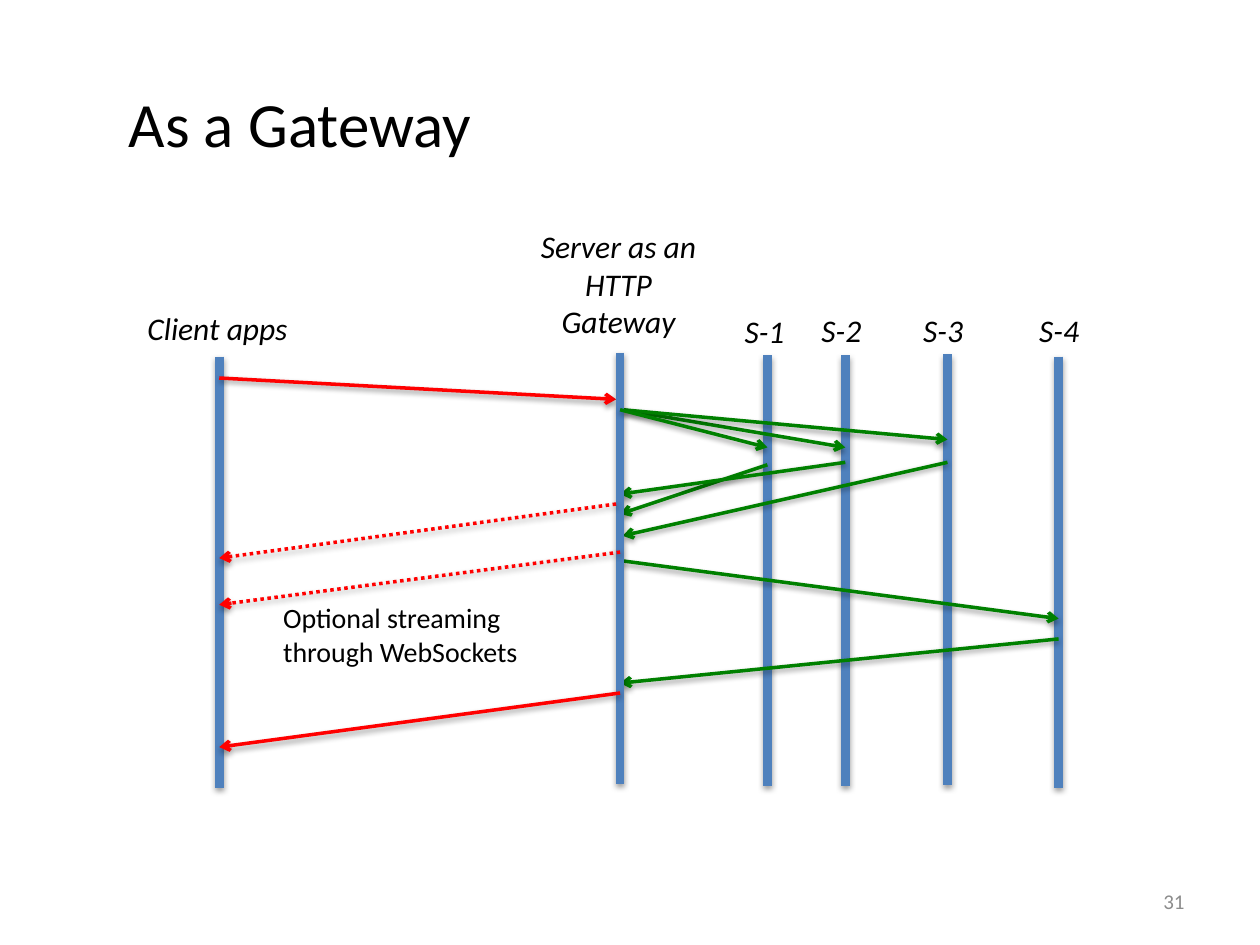
from lxml import etree
from pptx import Presentation
from pptx import util as u
from pptx.dml.color import RGBColor
from pptx.enum import dml, shapes, text
from pptx.oxml import parse_xml
from pptx.oxml.ns import nsdecls, qn

BLUE, RED, GREEN, BLACK, GREY = "4F81BD", "FF0000", "008000", "000000", "8C8C8C"
CLIENT, GATE, S1, S2, S3, S4 = 4.42, 12.5, 15.47, 17.04, 19.1, 21.34
GATE_LEFT, GATE_RIGHT = 12.42, 12.55
LIFELINE_HEIGHT = 8.69
SERVICE_LIFELINES = [(CLIENT, 7.19), (S1, 7.16), (S2, 7.16), (S3, 7.14), (S4, 7.19)]
MESSAGES_BEHIND = [
    (CLIENT, 7.62, GATE_LEFT, 8.05, RED),
    (GATE_RIGHT, 8.26, S2, 9.02, GREEN),
    (S1, 9.37, GATE, 10.36, GREEN),
    (GATE_RIGHT, 8.26, S3, 8.86, GREEN),
    (S3, 9.32, GATE_RIGHT, 10.8, GREEN),
    (S4, 12.88, GATE, 13.77, GREEN),
    (S2, 9.32, GATE, 9.96, GREEN),
    (GATE, 11.3, S4, 12.47, GREEN),
]
MESSAGES_FRONT = [
    (GATE, 8.26, S1, 9.02, GREEN),
    (GATE, 13.97, CLIENT, 15.06, RED),
]
STREAMS = [(GATE_LEFT, 10.16, CLIENT, 11.25, RED), (GATE, 11.13, CLIENT, 12.19, RED)]
SERVICE_LABELS = [("S-1", 14.76, 6.17), ("S-2", 16.31, 6.15),
                  ("S-3", 18.36, 6.15), ("S-4", 20.7, 6.15)]


def rgb(value):
    """Return a colour from a hex string."""
    return RGBColor.from_string(value)


def write(tf, lines, size=18, color=BLACK, italic=False, align=text.PP_ALIGN.LEFT,
          anchor=text.MSO_ANCHOR.TOP, wrap=True):
    """Fill a text frame with one paragraph per line."""
    tf.word_wrap = wrap
    tf.vertical_anchor = anchor
    for i, line in enumerate(lines.split("\n")):
        p = tf.add_paragraph() if i else tf.paragraphs[0]
        p.alignment = align
        r = p.add_run()
        r.text = line
        r.font.name = "Calibri"
        r.font.size = u.Pt(size)
        r.font.italic = italic
        r.font.color.rgb = rgb(color)


def add_label(s, lines, left, top, width, height, **fmt):
    """Add a text box."""
    box = s.shapes.add_textbox(u.Cm(left), u.Cm(top), u.Cm(width), u.Cm(height))
    write(box.text_frame, lines, **fmt)


def add_line(s, x1, y1, x2, y2, color, width):
    """Add a straight line with a soft shadow below it."""
    sp = s.shapes.add_connector(shapes.MSO_CONNECTOR.STRAIGHT,
                                u.Cm(x1), u.Cm(y1), u.Cm(x2), u.Cm(y2))
    sp.line.color.rgb = rgb(color)
    sp.line.width = u.Pt(width)
    sp._element.spPr.append(parse_xml(
        f'<a:effectLst {nsdecls("a")}>'
        '<a:outerShdw blurRad="40000" dist="20000" dir="5400000" rotWithShape="0">'
        '<a:srgbClr val="000000"><a:alpha val="38000"/></a:srgbClr>'
        '</a:outerShdw></a:effectLst>'))
    return sp


def add_lifeline(s, x, top):
    """Add the vertical line of one participant."""
    add_line(s, x, top, x, top + LIFELINE_HEIGHT, BLUE, 5)


def add_message(s, x1, y1, x2, y2, color, dotted=False):
    """Add an arrow between two lifelines."""
    sp = add_line(s, x1, y1, x2, y2, color, 2)
    if dotted:
        sp.line.dash_style = dml.MSO_LINE.ROUND_DOT
        sp.line._ln.find(qn("a:prstDash")).set("val", "sysDot")
    etree.SubElement(sp.line._ln, qn("a:tailEnd"), type="arrow")


def add_title(s, title):
    """Place and fill the title placeholder."""
    sp = s.shapes.title
    sp.left, sp.top, sp.width, sp.height = u.Cm(2.34), u.Cm(1.57), u.Cm(19.25), u.Cm(1.8)
    write(sp.text_frame, title, size=36)


def main():
    """Build the sequence diagram slide."""
    prs = Presentation()
    prs.slide_width, prs.slide_height = u.Cm(25.4), u.Cm(19.05)
    s = prs.slides.add_slide(prs.slide_layouts[5])
    add_title(s, "As a Gateway")

    for lifeline in SERVICE_LIFELINES:
        add_lifeline(s, *lifeline)
    for message in MESSAGES_BEHIND:
        add_message(s, *message)
    add_lifeline(s, GATE, 7.11)
    for message in MESSAGES_FRONT:
        add_message(s, *message)
    for stream in STREAMS:
        add_message(s, *stream, dotted=True)

    center = text.PP_ALIGN.CENTER
    add_label(s, "Client apps", 2.62, 6.1, 3.53, 1.02, italic=True, align=center, wrap=False)
    add_label(s, "Server as an HTTP\nGateway", 10.49, 4.45, 3.96, 2.57, italic=True, align=center)
    for name, left, top in SERVICE_LABELS:
        add_label(s, name, left, top, 1.47, 1.02, italic=True, wrap=False)
    add_label(s, "Optional streaming\nthrough WebSockets", 5.46, 11.99, 6.78, 1.63, size=16)
    add_label(s, "31", 18.21, 17.65, 5.92, 1.02, size=12, color=GREY,
              align=text.PP_ALIGN.RIGHT, anchor=text.MSO_ANCHOR.MIDDLE)
    prs.save("out.pptx")


if __name__ == "__main__":
    main()
